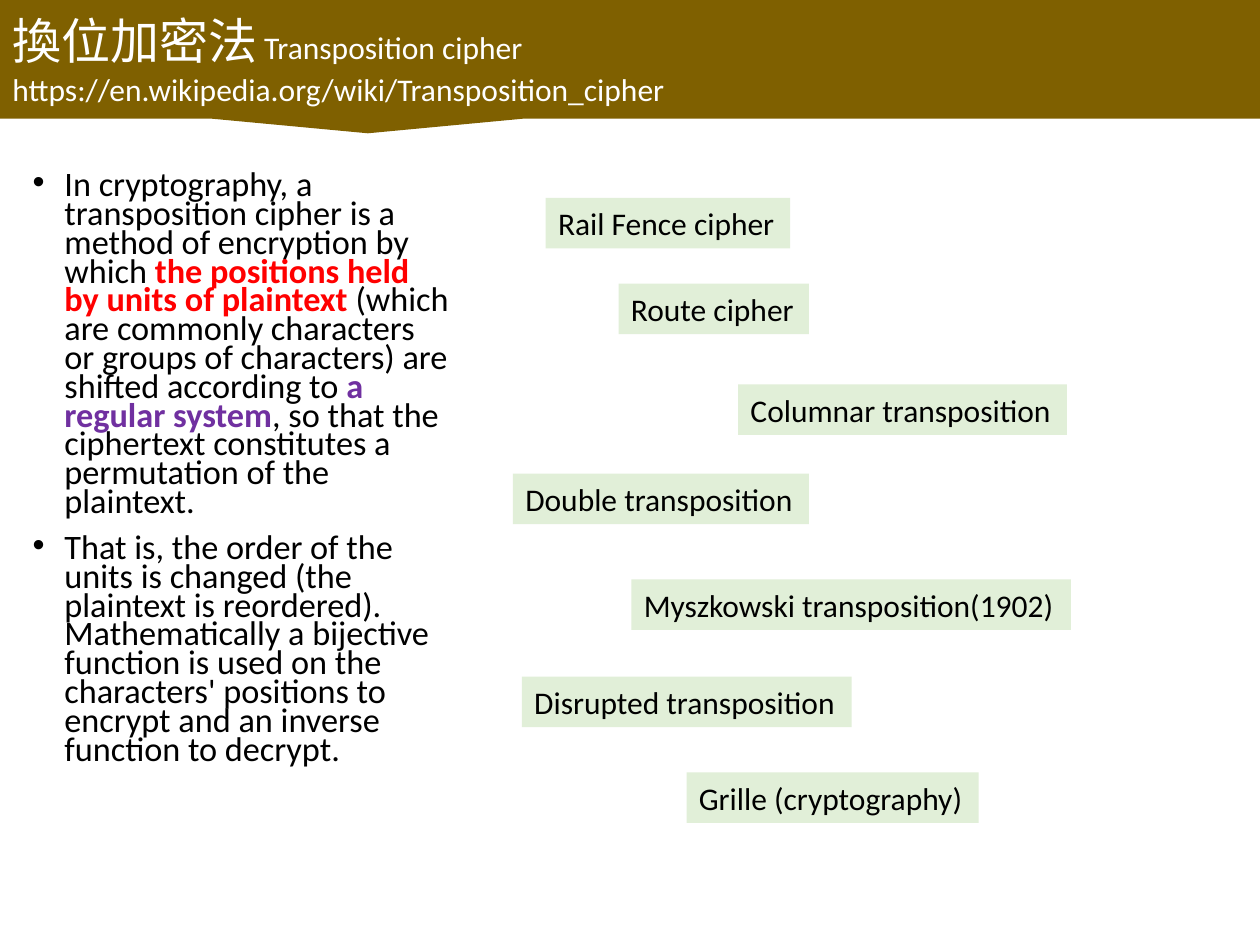
from dataclasses import dataclass

from lxml.etree import SubElement
from pptx import Presentation
from pptx.dml.color import RGBColor
from pptx.enum.shapes import MSO_SHAPE as Shape
from pptx.enum.text import MSO_ANCHOR as Anchor, PP_ALIGN as Align
from pptx.oxml.ns import qn
from pptx.util import Cm, Pt


@dataclass(frozen=True)
class Theme:
    font: str = "Calibri"
    title_font: str = "Arial"
    banner: str = "7F6000"
    label: str = "E1EFD8"
    light: str = "FFFFFF"
    dark: str = "000000"
    key_red: str = "FF0000"
    key_purple: str = "7030A0"
    title_size: float = 28
    text_size: float = 18
    body_size: float = 19.6


THEME = Theme()
LABEL_HEIGHT = 1.02

BANNER = [
    [("換位加密法", dict(font=THEME.title_font, size=THEME.title_size)),
     (" Transposition cipher", {})],
    [("https://en.wikipedia.org/wiki/Transposition_cipher", {})],
]

DEFINITION = [
    [("In cryptography, a transposition cipher is a method of encryption by which ", {}),
     ("the positions held by units of plaintext ", dict(color=THEME.key_red, bold=True)),
     ("(which are commonly characters or groups of characters) are shifted according to ", {}),
     ("a regular system", dict(color=THEME.key_purple, bold=True)),
     (", so that the ciphertext constitutes a permutation of the plaintext.", {})],
    [("That is, the order of the units is changed (the plaintext is reordered). "
      "Mathematically a bijective function is used on the characters' positions "
      "to encrypt and an inverse function to decrypt.", {})],
]

# Name, left, top and width in centimetres
CIPHERS = [
    ("Rail Fence cipher", 11, 3.99, 4.93),
    ("Route cipher", 12.47, 5.72, 3.84),
    ("Columnar transposition", 14.88, 7.75, 6.63),
    ("Double transposition", 10.34, 9.55, 5.97),
    ("Myszkowski transposition(1902)", 12.73, 11.68, 8.86),
    ("Disrupted transposition", 10.52, 13.64, 6.65),
    ("Grille (cryptography)", 13.84, 15.57, 5.89),
]


def add_bullet(paragraph, indent=0.64):
    props = paragraph._p.get_or_add_pPr()
    props.set("marL", str(Cm(indent)))
    props.set("indent", str(-Cm(indent)))
    SubElement(props, qn("a:buFont"), typeface="Arial")
    SubElement(props, qn("a:buChar"), char="•")


def write_text(frame, paragraphs, size=THEME.text_size, color=THEME.dark,
               anchor=Anchor.TOP, bullets=False, line_spacing=None, gap=0):
    """Fill a frame with paragraphs of (text, format overrides) runs."""
    frame.word_wrap = True
    frame.vertical_anchor = anchor
    for index, runs in enumerate(paragraphs):
        paragraph = frame.add_paragraph() if index else frame.paragraphs[0]
        paragraph.alignment = Align.LEFT
        if bullets:
            add_bullet(paragraph)
        if line_spacing:
            paragraph.line_spacing = line_spacing
        if index and gap:
            paragraph.space_before = Pt(gap)
        for text, style in runs:
            run = paragraph.add_run()
            run.text = text
            run.font.name = style.get("font", THEME.font)
            run.font.size = Pt(style.get("size", size))
            run.font.bold = style.get("bold", False)
            run.font.color.rgb = RGBColor.from_string(style.get("color", color))


def add_block(slide, kind, left, top, width, height, fill):
    block = slide.shapes.add_shape(kind, Cm(left), Cm(top), Cm(width), Cm(height))
    block.shadow.inherit = False
    block.fill.solid()
    block.fill.fore_color.rgb = RGBColor.from_string(fill)
    block.line.fill.background()
    return block


def add_definition(slide):
    box = slide.shapes.add_textbox(Cm(0.41), Cm(3.38), Cm(8.92), Cm(15.39))
    write_text(box.text_frame, DEFINITION, size=THEME.body_size,
               bullets=True, line_spacing=0.7, gap=10)


def add_banner(slide):
    banner = add_block(slide, Shape.RECTANGULAR_CALLOUT, 0, 0, 25.4, 2.39, THEME.banner)
    banner.adjustments[0] = -0.208
    banner.adjustments[1] = 0.625
    write_text(banner.text_frame, BANNER, color=THEME.light, anchor=Anchor.MIDDLE)


def add_cipher(slide, name, left, top, width):
    label = add_block(slide, Shape.RECTANGLE, left, top, width, LABEL_HEIGHT, THEME.label)
    write_text(label.text_frame, [[(name, {})]])


def main():
    deck = Presentation()
    deck.slide_width, deck.slide_height = Cm(25.4), Cm(19.05)
    slide = deck.slides.add_slide(deck.slide_layouts[6])
    add_definition(slide)
    add_banner(slide)
    for cipher in CIPHERS:
        add_cipher(slide, *cipher)
    deck.save("out.pptx")


if __name__ == "__main__":
    main()
